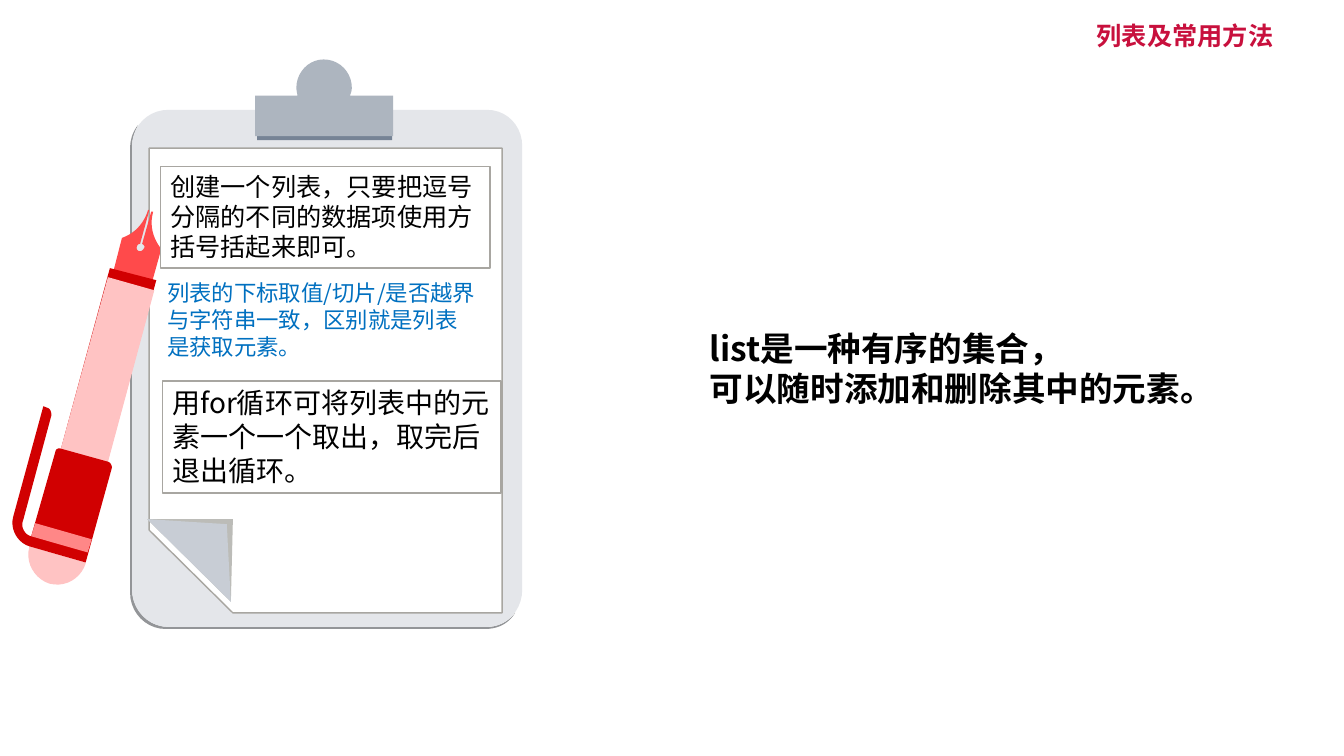
"""Build a slide about Python lists, with a clipboard of notes and a fountain pen."""
from dataclasses import dataclass

from pptx import Presentation
from pptx.dml.color import RGBColor
from pptx.enum.shapes import MSO_SHAPE as Preset
from pptx.enum.text import MSO_ANCHOR as Anchor, MSO_AUTO_SIZE as AutoSize, PP_ALIGN as Align
from pptx.oxml.ns import qn
from pptx.util import Inches, Pt


@dataclass(frozen=True)
class Theme:
    font: str = "Noto Sans CJK SC"
    black: str = "000000"
    white: str = "FFFFFF"
    blue: str = "0070C0"
    crimson: str = "C8103D"
    border: str = "A8A6A1"
    board: str = "E4E6EA"
    board_edge: str = "939598"
    fold: str = "C8CDD5"
    fold_edge: str = "BCBCB8"
    clip: str = "ADB5BF"
    clip_edge: str = "768395"
    nib: str = "FF4A4B"
    red: str = "D10001"
    pink: str = "FFC3C3"
    band: str = "FF8787"
    note: int = 18
    hint: int = 16
    loop: int = 20
    claim: int = 24


THEME = Theme()
SIZE = (13.33, 7.5)
CURVE_STEPS = 10

TITLE = ["列表及常用方法"]
CLAIM = ["list是一种有序的集合，", "可以随时添加和删除其中的元素。"]
CREATE = ["创建一个列表，只要把逗号分隔的不同的数据项使用方括号括起来即可。"]
INDEX = ["列表的下标取值/切片/是否越界与字符串一致，区别就是列表是获取元素。"]
LOOP = ["用for循环可将列表中的元素一个一个取出，取完后退出循环。"]

TEXTS = [
    (CREATE, (1.59, 1.65, 3.27, 1.01), dict(size=THEME.note, boxed=True)),
    (INDEX, (1.56, 2.72, 3.27, 1.18), dict(size=THEME.hint, color=THEME.blue)),
    (LOOP, (1.61, 3.78, 3.36, 1.11), dict(size=THEME.loop, boxed=True)),
    (TITLE, (10.78, 0.15, 1.97, 0.4),
     dict(size=THEME.note, color=THEME.crimson, bold=True, wrap=False)),
    (CLAIM, (6.94, 3.2, 5.25, 0.91), dict(size=THEME.claim, bold=True, wrap=False)),
]

# Two numbers are a corner; six are a curve's two handles and its end.
BOARD_EDGE = [
    (1.37, 1.24), (1.32, 1.3, 1.29, 1.38, 1.29, 1.48), (1.29, 5.88),
    (1.29, 6.08, 1.45, 6.24, 1.64, 6.24), (4.81, 6.24),
    (4.94, 6.24, 5.04, 6.19, 5.11, 6.08), (5.04, 6.17, 4.94, 6.22, 4.83, 6.22),
    (1.67, 6.22), (1.47, 6.22, 1.31, 6.05, 1.31, 5.85), (1.31, 1.45),
    (1.31, 1.37, 1.34, 1.3, 1.37, 1.24)]
BOARD = [
    (5.18, 5.85), (5.18, 6.05, 5.03, 6.22, 4.83, 6.22), (1.67, 6.22),
    (1.47, 6.22, 1.31, 6.05, 1.31, 5.85), (1.31, 1.45),
    (1.31, 1.25, 1.47, 1.09, 1.67, 1.09), (4.83, 1.09),
    (5.03, 1.09, 5.18, 1.25, 5.18, 1.45)]
PAPER = [(2.31, 6.08), (4.98, 6.08), (4.98, 1.47), (1.48, 1.47), (1.48, 5.26)]
FOLD_EDGE = [(2.31, 5.15), (1.46, 5.15), (2.29, 5.97)]
FOLD = [(2.25, 5.2), (1.46, 5.15), (2.29, 5.97)]
CLIP = [
    (3.47, 0.95), (3.48, 0.93, 3.49, 0.9, 3.49, 0.87), (3.49, 0.72, 3.37, 0.59, 3.21, 0.59),
    (3.06, 0.59, 2.94, 0.72, 2.94, 0.87), (2.94, 0.9, 2.95, 0.93, 2.95, 0.95),
    (2.53, 0.95), (2.53, 1.35), (3.9, 1.35), (3.9, 0.95)]
NIB = [
    (1.29, 2.84), (1.48, 2.9), (1.6, 2.47), (1.52, 2.37, 1.48, 2.24, 1.52, 2.1),
    (1.5, 2.1), (1.41, 2.42), (1.43, 2.43, 1.44, 2.45, 1.43, 2.46),
    (1.42, 2.48, 1.4, 2.5, 1.38, 2.49), (1.36, 2.49, 1.35, 2.46, 1.36, 2.44),
    (1.37, 2.42, 1.38, 2.42, 1.39, 2.42), (1.48, 2.09), (1.47, 2.08),
    (1.43, 2.22, 1.33, 2.32, 1.21, 2.36), (1.1, 2.79)]
COLLAR = [(1.09, 2.66), (1.55, 2.78), (0.93, 5.08), (0.47, 4.95)]
BARREL = [(1.07, 2.75), (1.53, 2.88), (0.91, 5.18), (0.44, 5.05)]
PEN_END = [
    (0.85, 5.59), (0.85, 5.58), (0.29, 5.42), (0.29, 5.43),
    (0.25, 5.58, 0.34, 5.74, 0.49, 5.79), (0.65, 5.83, 0.8, 5.74, 0.85, 5.59)]
CAP = [
    (0.29, 5.42), (0.85, 5.58), (1.11, 4.64), (1.11, 4.62, 1.1, 4.59, 1.07, 4.58),
    (0.6, 4.45), (0.58, 4.44, 0.55, 4.46, 0.55, 4.48), (0.31, 5.32),
    (0.25, 5.31, 0.2, 5.23, 0.23, 5.16), (0.51, 4.12),
    (0.51, 4.09, 0.5, 4.06, 0.48, 4.05), (0.43, 4.03), (0.13, 5.13),
    (0.1, 5.25, 0.17, 5.38, 0.29, 5.42)]
CAP_BAND = [(0.91, 5.35), (0.35, 5.19), (0.31, 5.32), (0.87, 5.48)]

CLIPBOARD = [(BOARD_EDGE, THEME.board_edge), (BOARD, THEME.board),
             (PAPER, THEME.white, THEME.border), (FOLD_EDGE, THEME.fold_edge), (FOLD, THEME.fold)]
PEN = [(NIB, THEME.nib), (COLLAR, THEME.red), (BARREL, THEME.pink),
       (PEN_END, THEME.pink), (CAP, THEME.red), (CAP_BAND, THEME.band)]
CLIP_BASE = (2.55, 0.96, 1.34, 0.43)
CLIP_KNOB = (3.05, 0.71, 0.33, 0.34)


def paint(shape, fill, line=None):
    shape.shadow.inherit = False
    shape.fill.solid()
    shape.fill.fore_color.rgb = RGBColor.from_string(fill)
    if line:
        shape.line.color.rgb = RGBColor.from_string(line)
        shape.line.width = Pt(1)
    else:
        shape.line.fill.background()
    return shape


def trace(outline):
    points = [outline[0]]
    for node in outline[1:]:
        if len(node) == 2:
            points.append(node)
            continue
        controls = [points[-1], node[:2], node[2:4], node[4:]]
        for step in range(1, CURVE_STEPS + 1):
            t = step / CURVE_STEPS
            weights = ((1 - t) ** 3, 3 * t * (1 - t) ** 2, 3 * t * t * (1 - t), t ** 3)
            points.append(tuple(sum(w * c[axis] for w, c in zip(weights, controls))
                                for axis in (0, 1)))
    return [(Inches(x), Inches(y)) for x, y in points]


def add_outline(slide, outline, fill, line=None):
    start, *rest = trace(outline)
    builder = slide.shapes.build_freeform(*start)
    builder.add_line_segments(rest, close=True)
    return paint(builder.convert_to_shape(), fill, line)


def add_preset(slide, preset, box, fill, line=None):
    return paint(slide.shapes.add_shape(preset, *map(Inches, box)), fill, line)


def add_text(slide, lines, box, *, size, color=THEME.black, bold=False, wrap=True, boxed=False):
    if boxed:
        shape = add_preset(slide, Preset.RECTANGLE, box, THEME.white, THEME.border)
    else:
        shape = slide.shapes.add_textbox(*map(Inches, box))
    frame = shape.text_frame
    frame.word_wrap = wrap
    frame.auto_size = AutoSize.SHAPE_TO_FIT_TEXT
    frame.vertical_anchor = Anchor.TOP
    frame.text = "\n".join(lines)
    for paragraph in frame.paragraphs:
        paragraph.alignment = Align.LEFT
        run = paragraph.runs[0]
        run.font.name = THEME.font
        run.font.size = Pt(size)
        run.font.bold = bold
        run.font.color.rgb = RGBColor.from_string(color)
        east_asian = run.font._element.makeelement(qn("a:ea"), {"typeface": THEME.font})
        run.font._element.find(qn("a:latin")).addnext(east_asian)
    return shape


def main():
    presentation = Presentation()
    presentation.slide_width, presentation.slide_height = map(Inches, SIZE)
    slide = presentation.slides.add_slide(presentation.slide_layouts[6])
    for part in CLIPBOARD:
        add_outline(slide, *part)
    add_preset(slide, Preset.RECTANGLE, CLIP_BASE, THEME.clip_edge)
    add_outline(slide, CLIP, THEME.clip)
    add_preset(slide, Preset.OVAL, CLIP_KNOB, THEME.clip)
    for part in PEN:
        add_outline(slide, *part)
    for lines, box, style in TEXTS:
        add_text(slide, lines, box, **style)
    presentation.save("out.pptx")


if __name__ == "__main__":
    main()
